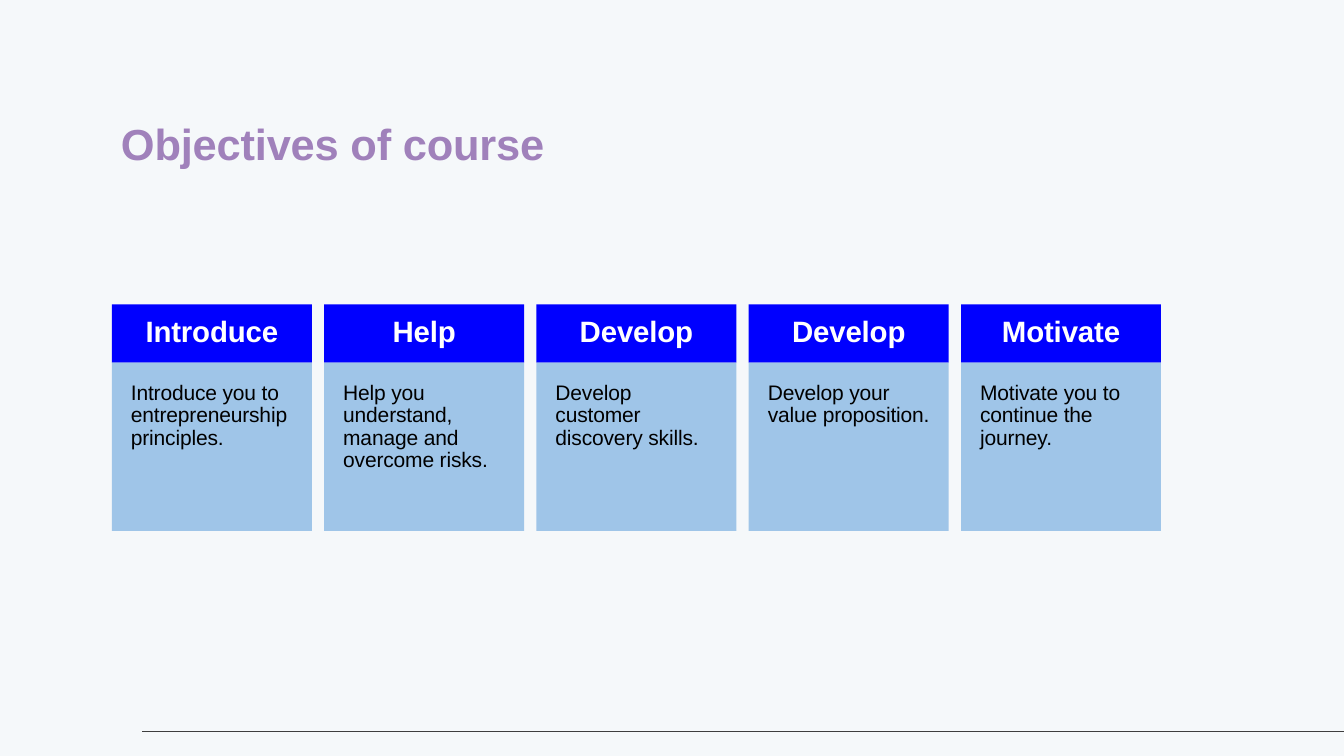
import pptx
import pptx.dml.color
import pptx.enum.shapes
import pptx.enum.text
import pptx.util
from pptx.util import Cm

BACKDROP = pptx.dml.color.RGBColor(0xF5, 0xF8, 0xFA)
RULE_GREY = pptx.dml.color.RGBColor(0x3E, 0x3E, 0x3E)
TITLE_MAUVE = pptx.dml.color.RGBColor(0xA0, 0x81, 0xBB)
HEADER_BLUE = pptx.dml.color.RGBColor(0x00, 0x00, 0xFF)
BODY_BLUE = pptx.dml.color.RGBColor(0x9F, 0xC5, 0xE8)
WHITE = pptx.dml.color.RGBColor(0xFF, 0xFF, 0xFF)
BLACK = pptx.dml.color.RGBColor(0x00, 0x00, 0x00)

SLIDE_WIDTH, SLIDE_HEIGHT = Cm(33.87), Cm(19.05)
CARD_LEFT, CARD_PITCH, CARD_WIDTH = Cm(2.82), Cm(5.35), Cm(5.04)
HEADER_TOP, HEADER_HEIGHT = Cm(7.67), Cm(1.47)
BODY_HEIGHT = Cm(4.24)

OBJECTIVES = [
    ("Introduce", "Introduce you to entrepreneurship principles."),
    ("Help", "Help you understand, manage and overcome risks."),
    ("Develop", "Develop customer discovery skills."),
    ("Develop", "Develop your value proposition."),
    ("Motivate", "Motivate you to continue the journey."),
]


def write_text(shape, text, size, color, bold, align, side=0, top=0):
    """Fill a shape with one paragraph, inset at the sides and the top."""
    frame = shape.text_frame
    frame.text = text
    frame.word_wrap = True
    frame.vertical_anchor = pptx.enum.text.MSO_ANCHOR.TOP
    frame.margin_left = frame.margin_right = side
    frame.margin_top, frame.margin_bottom = top, 0
    paragraph = frame.paragraphs[0]
    paragraph.alignment = align
    for run in paragraph.runs:
        run.font.name = "Arial"
        run.font.size = pptx.util.Pt(size)
        run.font.bold = bold
        run.font.color.rgb = color
        run.font._element.set("spc", "-10")  # slightly tightened letters
    return paragraph


def add_panel(slide, left, top, height, fill):
    panel = slide.shapes.add_shape(
        pptx.enum.shapes.MSO_SHAPE.RECTANGLE, left, top, CARD_WIDTH, height)
    panel.shadow.inherit = False
    panel.fill.solid()
    panel.fill.fore_color.rgb = fill
    panel.line.fill.background()
    return panel


def add_card(slide, left, heading, objective):
    align = pptx.enum.text.PP_ALIGN
    header = add_panel(slide, left, HEADER_TOP, HEADER_HEIGHT, HEADER_BLUE)
    write_text(header, heading, 21, WHITE, True, align.CENTER, top=Cm(0.23))
    body = add_panel(slide, left, HEADER_TOP + HEADER_HEIGHT, BODY_HEIGHT, BODY_BLUE)
    paragraph = write_text(body, objective, 15, BLACK, False, align.LEFT,
                           side=Cm(0.48), top=Cm(0.48))
    paragraph.line_spacing = pptx.util.Pt(16.1)


def add_title(slide, text):
    title = slide.shapes.add_textbox(Cm(3.02), Cm(2.92), Cm(10.82), Cm(1.37))
    write_text(title, text, 31, TITLE_MAUVE, True,
               pptx.enum.text.PP_ALIGN.LEFT, side=Cm(0.03), top=Cm(0.03))


def add_footer_rule(slide):
    rule = slide.shapes.add_connector(
        pptx.enum.shapes.MSO_CONNECTOR.STRAIGHT,
        Cm(3.58), Cm(18.44), SLIDE_WIDTH, Cm(18.44))
    rule.line.color.rgb = RULE_GREY
    rule.line.width = pptx.util.Pt(1)
    effects = pptx.oxml.parse_xml(
        '<a:effectLst xmlns:a="http://schemas.openxmlformats.org/drawingml/2006/main"/>')
    rule._element.spPr.append(effects)


def main():
    deck = pptx.Presentation()
    deck.slide_width, deck.slide_height = SLIDE_WIDTH, SLIDE_HEIGHT
    slide = deck.slides.add_slide(deck.slide_layouts[6])

    # Backdrop, footer rule and title
    slide.background.fill.solid()
    slide.background.fill.fore_color.rgb = BACKDROP
    add_footer_rule(slide)
    add_title(slide, "Objectives of course")

    # One card per objective
    for index, (heading, objective) in enumerate(OBJECTIVES):
        add_card(slide, CARD_LEFT + index * CARD_PITCH, heading, objective)

    deck.save("out.pptx")


if __name__ == "__main__":
    main()
